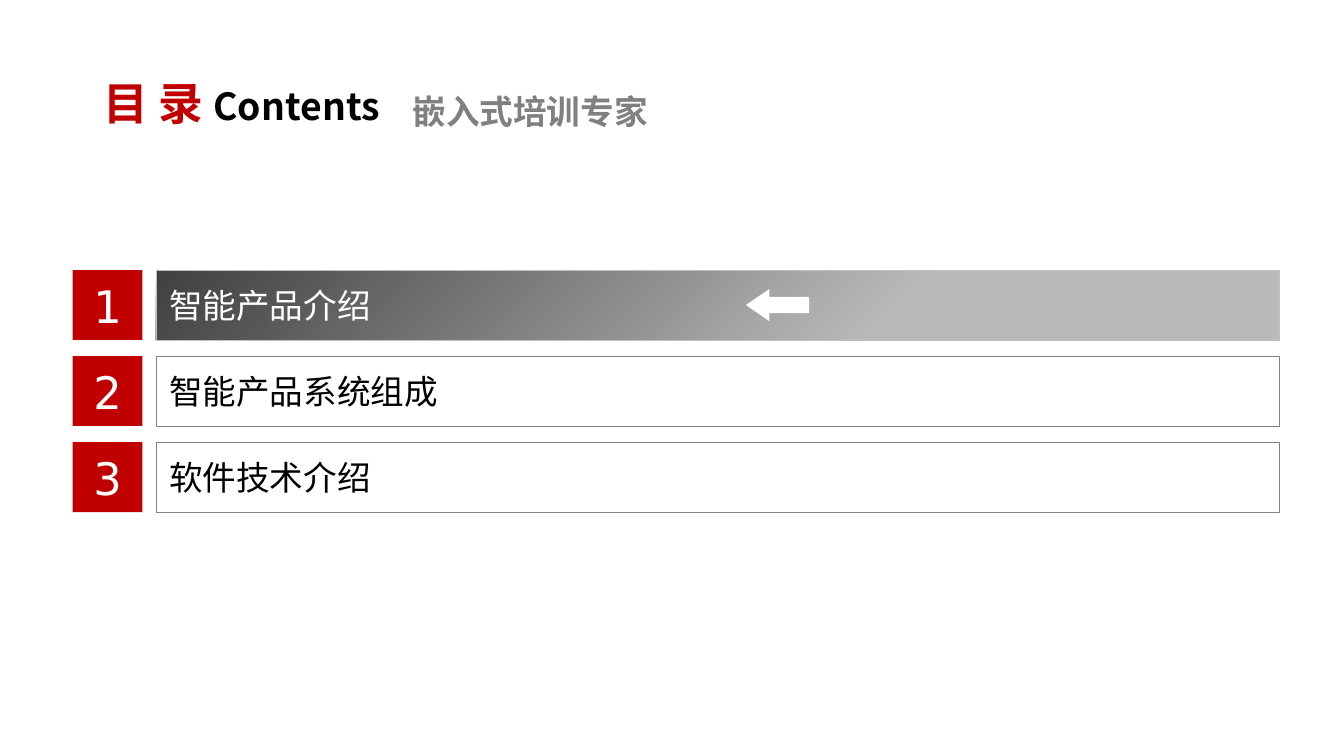
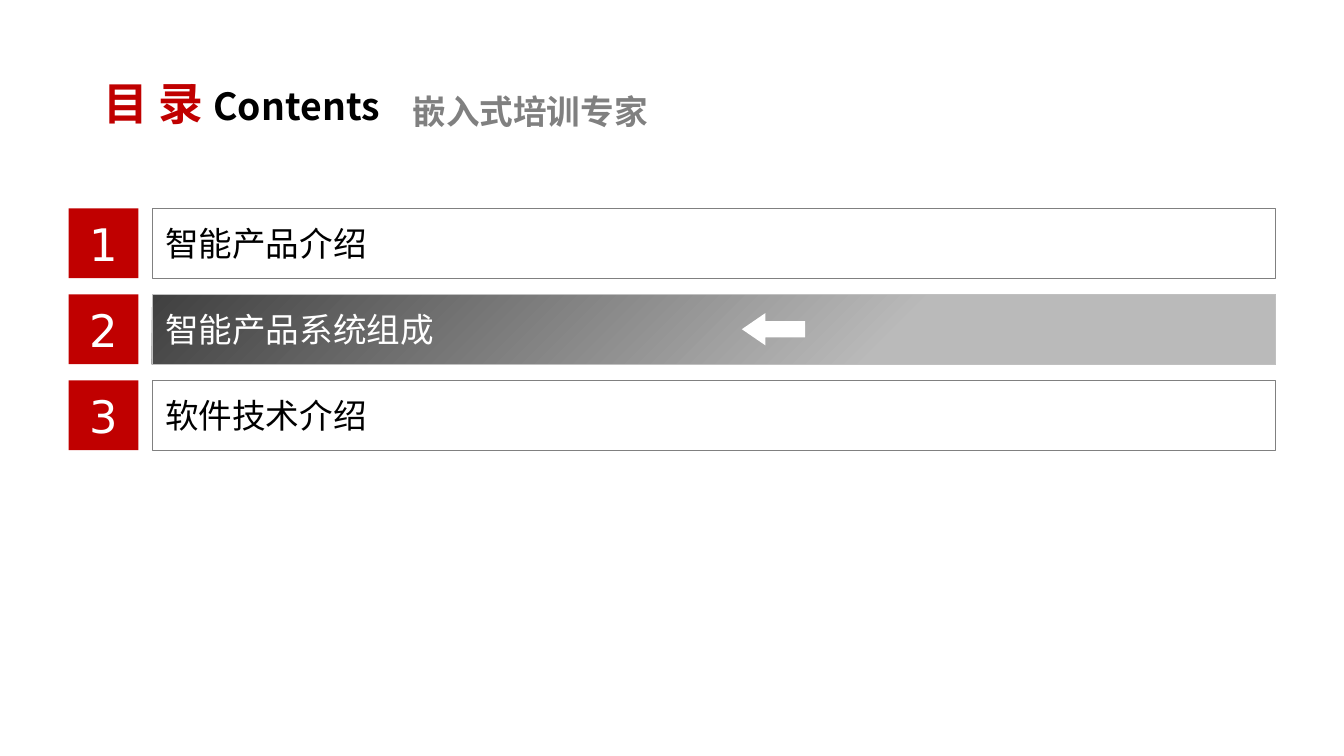
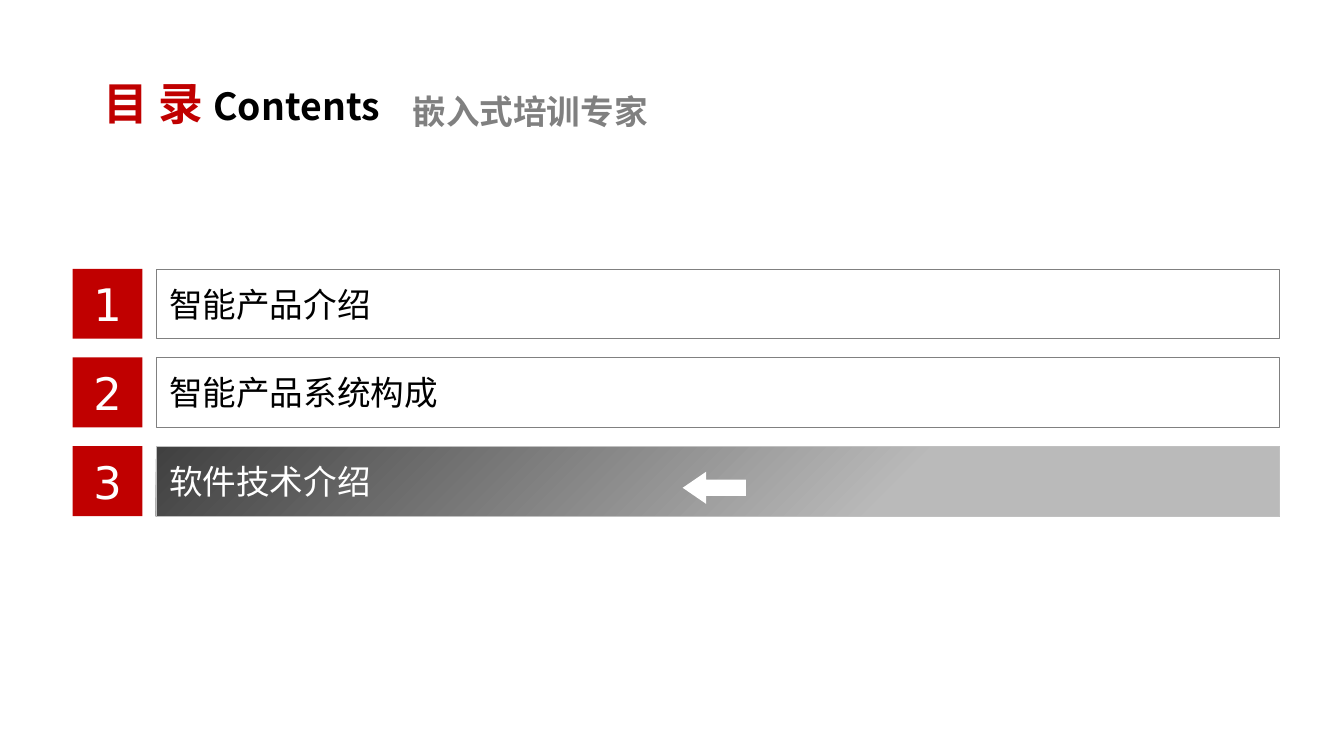
from dataclasses import dataclass

from lxml.etree import SubElement
from pptx import Presentation
from pptx.dml.color import RGBColor
from pptx.enum.shapes import MSO_SHAPE
from pptx.enum.text import MSO_ANCHOR, MSO_AUTO_SIZE, PP_ALIGN
from pptx.oxml.ns import qn
from pptx.shapes.autoshape import Shape
from pptx.shapes.shapetree import GroupShapes
from pptx.slide import Slide
from pptx.text.text import Font, TextFrame
from pptx.util import Inches, Pt


@dataclass(frozen=True)
class Theme:
    red: str = "C00000"
    black: str = "000000"
    white: str = "FFFFFF"
    grey: str = "808080"
    active_line: str = "C0C0C0"
    gradient_start: str = "404040"
    gradient_end: str = "BABABA"
    text_font: str = "Noto Sans CJK SC"
    number_font: str = "DejaVu Sans"
    title_size: int = 24
    subtitle_size: int = 20
    item_size: int = 18
    number_size: int = 24
    hairline: float = 0.25


@dataclass(frozen=True)
class Agenda:
    items: tuple[str, ...]
    active: int
    left: float
    top: float
    pitch: float
    arrow_dx: float = 4.39
    arrow_dy: float = 0.14


THEME = Theme()
ROW_HEIGHT = 0.52
BAR_OFFSET = 0.62
BAR_WIDTH = 8.36
ARROW_SIZE = (0.47, 0.24)

AGENDAS = (
    Agenda(("智能产品介绍", "智能产品系统组成", "软件技术介绍"), 0, 0.54, 2.01, 0.64),
    Agenda(("智能产品介绍", "智能产品系统组成", "软件技术介绍"), 1, 0.51, 1.55, 0.64),
    Agenda(("智能产品介绍", "智能产品系统构成", "软件技术介绍"), 2, 0.54, 2.0, 0.66,
           arrow_dx=3.92, arrow_dy=0.19),
)


def rgb(color: str) -> RGBColor:
    return RGBColor.from_string(color)


def set_font(font: Font, size: int, color: str, name: str = THEME.text_font,
             bold: bool = False) -> None:
    font.size = Pt(size)
    font.bold = bold
    font.color.rgb = rgb(color)
    font.name = name
    SubElement(font._element, qn("a:ea"), typeface=name)


def set_heading_frame(tf: TextFrame) -> None:
    tf.word_wrap = True
    tf.auto_size = MSO_AUTO_SIZE.NONE
    tf.vertical_anchor = MSO_ANCHOR.TOP


def add_heading(s: Slide) -> None:
    title = s.shapes.title
    title.left, title.top = Inches(0.67), Inches(0.51)
    title.width, title.height = Inches(6.77), Inches(0.41)
    set_heading_frame(title.text_frame)
    p = title.text_frame.paragraphs[0]
    p.alignment = PP_ALIGN.LEFT
    for text, size, color in (
        ("目 录 ", THEME.title_size, THEME.red),
        ("Contents", THEME.subtitle_size, THEME.black),
    ):
        r = p.add_run()
        r.text = text
        set_font(r.font, size, color, bold=True)

    tagline = s.shapes.add_textbox(Inches(2.97), Inches(0.63), Inches(2.19), Inches(0.4))
    set_heading_frame(tagline.text_frame)
    p = tagline.text_frame.paragraphs[0]
    p.text = "嵌入式培训专家"
    set_font(p.font, THEME.item_size, THEME.grey, bold=True)


def add_box(shapes: GroupShapes, kind: MSO_SHAPE, left: float, top: float,
            width: float, height: float) -> Shape:
    sp = shapes.add_shape(kind, Inches(left), Inches(top), Inches(width), Inches(height))
    sp.shadow.inherit = False
    return sp


def add_solid(shapes: GroupShapes, kind: MSO_SHAPE, left: float, top: float,
              width: float, height: float, color: str) -> Shape:
    sp = add_box(shapes, kind, left, top, width, height)
    sp.fill.solid()
    sp.fill.fore_color.rgb = rgb(color)
    sp.line.fill.background()
    return sp


def add_bar(shapes: GroupShapes, left: float, top: float, text: str, active: bool) -> None:
    sp = add_box(shapes, MSO_SHAPE.ROUNDED_RECTANGLE, left, top, BAR_WIDTH, ROW_HEIGHT)
    sp.adjustments[0] = 0
    if active:
        sp.fill.gradient()
        sp.fill.gradient_angle = 315
        start, end = sp.fill.gradient_stops
        start.position, start.color.rgb = 0, rgb(THEME.gradient_start)
        end.position, end.color.rgb = 0.66, rgb(THEME.gradient_end)
    else:
        sp.fill.background()
    sp.line.color.rgb = rgb(THEME.active_line if active else THEME.grey)
    sp.line.width = Pt(THEME.hairline)
    tf = sp.text_frame
    tf.word_wrap = True
    tf.vertical_anchor = MSO_ANCHOR.MIDDLE
    p = tf.paragraphs[0]
    p.text = text
    p.alignment = PP_ALIGN.LEFT
    set_font(p.font, THEME.item_size, THEME.white if active else THEME.black)


def add_number(shapes: GroupShapes, left: float, top: float, number: int) -> None:
    sp = add_solid(shapes, MSO_SHAPE.RECTANGLE, left, top, ROW_HEIGHT, ROW_HEIGHT, THEME.red)
    tf = sp.text_frame
    tf.word_wrap = False
    tf.vertical_anchor = MSO_ANCHOR.MIDDLE
    p = tf.paragraphs[0]
    p.text = str(number)
    p.alignment = PP_ALIGN.CENTER
    set_font(p.font, THEME.number_size, THEME.white, THEME.number_font)


def add_agenda(s: Slide, agenda: Agenda) -> None:
    bar_left = agenda.left + BAR_OFFSET
    for i, text in enumerate(agenda.items):
        top = agenda.top + i * agenda.pitch
        active = i == agenda.active
        row = s.shapes.add_group_shape().shapes
        add_bar(row, bar_left, top, text, active)
        add_number(row, agenda.left, top, i + 1)
        if active:
            arrow = add_solid(row, MSO_SHAPE.LEFT_ARROW, bar_left + agenda.arrow_dx,
                              top + agenda.arrow_dy, *ARROW_SIZE, THEME.white)
            arrow.adjustments[0] = 0.5
            arrow.adjustments[1] = 0.73


def main() -> None:
    prs = Presentation()
    prs.slide_width = Inches(10)
    prs.slide_height = prs.slide_width * 9 // 16
    title_only = prs.slide_layouts[5]
    for agenda in AGENDAS:
        s = prs.slides.add_slide(title_only)
        add_heading(s)
        add_agenda(s, agenda)
    prs.save("out.pptx")


if __name__ == "__main__":
    main()
